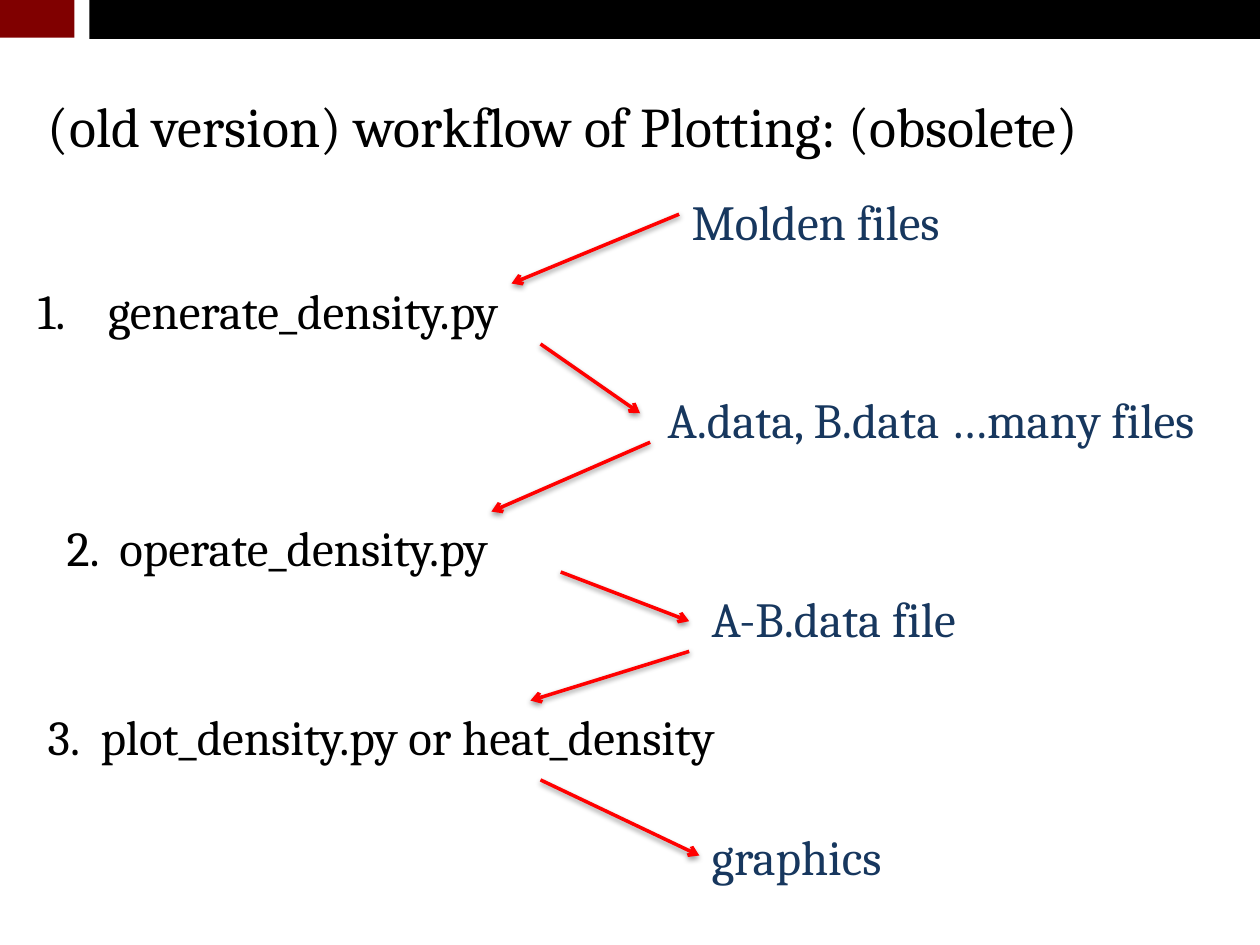
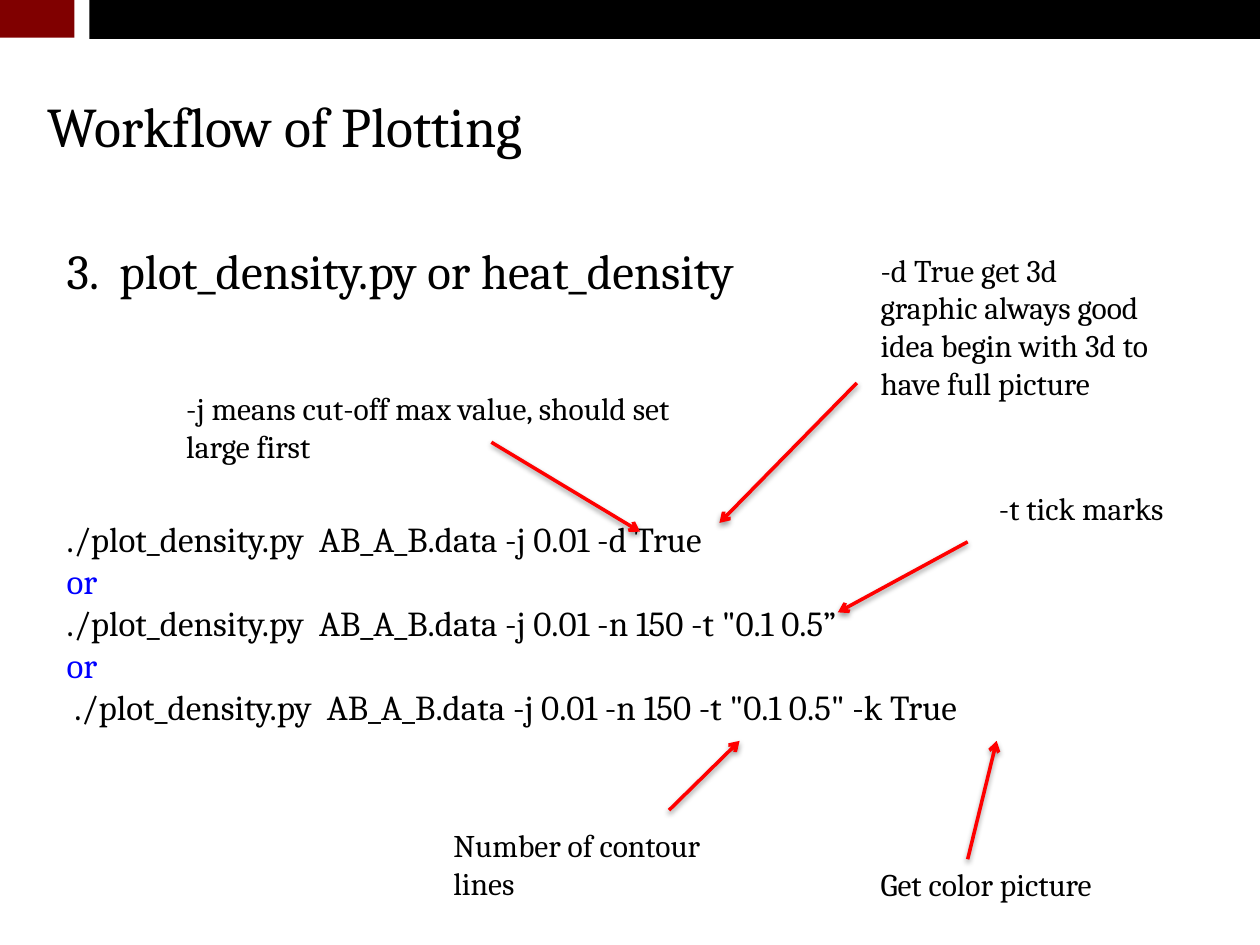
import pptx
import pptx.dml.color
import pptx.enum.shapes
import pptx.enum.text
import pptx.oxml
import pptx.oxml.ns
import pptx.util
from pptx.util import Inches

BLACK = pptx.dml.color.RGBColor(0x00, 0x00, 0x00)
MAROON = pptx.dml.color.RGBColor(0x80, 0x00, 0x00)
NAVY = pptx.dml.color.RGBColor(0x17, 0x37, 0x5E)
BLUE = pptx.dml.color.RGBColor(0x00, 0x00, 0xFF)
RED = pptx.dml.color.RGBColor(0xFF, 0x00, 0x00)

FONT = "Cambria"
TITLE_LEFT, TITLE_TOP, TITLE_HEIGHT = 0.28, 0.68, 0.64
BANDS = [(0.71, 0, 9.29, 0.31, BLACK), (0, 0, 0.59, 0.3, MAROON)]
STEP_WIDTH, STEP_HEIGHT = 7.17, 0.57
FRAME_FORMAT = {
    "word_wrap": True,
    "auto_size": pptx.enum.text.MSO_AUTO_SIZE.SHAPE_TO_FIT_TEXT,
    "vertical_anchor": pptx.enum.text.MSO_ANCHOR.TOP,
}
ARROWHEAD = f'<a:tailEnd {pptx.oxml.ns.nsdecls("a")} type="arrow"/>'
ARROW_SHADOW = (
    f'<a:effectLst {pptx.oxml.ns.nsdecls("a")}>'
    '<a:outerShdw blurRad="40000" dist="20000" dir="5400000" rotWithShape="0">'
    '<a:srgbClr val="000000"><a:alpha val="38000"/></a:srgbClr>'
    '</a:outerShdw></a:effectLst>'
)

# Each slide: title, numbered steps, text boxes and arrows
# Step: left, top, number, indent, text
# Text: left, top, width, height, size, lines with their colours
# Arrow: start x, start y, end x, end y
SLIDES = [
    {
        "title": "(old version) workflow of Plotting: (obsolete)",
        "steps": [
            (0.2, 2.18, 1, 0.56, "generate_density.py"),
            (0.43, 4.06, 2, 0.42, "operate_density.py"),
            (0.28, 5.56, 3, 0.42, "plot_density.py or heat_density"),
        ],
        "texts": [
            (5.39, 1.47, 4.6, 0.57, 28, [("Molden files", NAVY)]),
            (5.2, 3.04, 4.8, 0.57, 28, [("A.data, B.data …many files", NAVY)]),
            (5.55, 4.62, 4.4, 0.57, 28, [("A-B.data file", NAVY)]),
            (5.55, 6.51, 4.4, 0.57, 28, [("graphics", NAVY)]),
        ],
        "arrows": [
            (5.39, 1.7, 4.06, 2.25),
            (4.29, 2.73, 5.08, 3.28),
            (5.16, 3.51, 3.9, 4.06),
            (4.45, 4.54, 5.47, 4.93),
            (5.47, 5.17, 4.21, 5.56),
            (4.29, 6.19, 5.55, 6.79),
        ],
    },
    {
        "title": "Workflow of Plotting",
        "steps": [(0.43, 1.86, 3, 0.42, "plot_density.py or heat_density")],
        "texts": [
            (0.43, 4.06, 8.98, 1.78, 20, [
                ("./plot_density.py  AB_A_B.data -j 0.01 -d True", BLACK),
                ("or", BLUE),
                ('./plot_density.py  AB_A_B.data -j 0.01 -n 150 -t "0.1 0.5”', BLACK),
                ("or", BLUE),
                (' ./plot_density.py  AB_A_B.data -j 0.01 -n 150 -t "0.1 0.5" -k True', BLACK),
            ]),
            (1.38, 3.04, 4.17, 0.71, 18,
             [("-j means cut-off max value, should set large first", BLACK)]),
            (6.89, 1.94, 2.41, 1.62, 18,
             [("-d True get 3d graphic always good idea begin with 3d to have full picture", BLACK)]),
            (7.83, 3.83, 2.1, 0.4, 18, [("-t tick marks", BLACK)]),
            (6.89, 6.82, 2.41, 0.4, 18, [("Get color picture", BLACK)]),
            (3.5, 6.51, 2.41, 0.71, 18, [("Number of contour lines", BLACK)]),
        ],
        "arrows": [
            (3.9, 3.51, 5.08, 4.22),
            (6.8, 3.04, 5.71, 4.15),
            (7.68, 4.3, 6.65, 4.86),
            (5.31, 6.43, 5.87, 5.88),
            (7.68, 6.82, 7.91, 5.88),
        ],
    },
]


def write_lines(shape, size, lines):
    """Fill a text shape with one left-aligned paragraph per line."""
    frame = shape.text_frame
    for name, value in FRAME_FORMAT.items():
        setattr(frame, name, value)
    for index, (text, color) in enumerate(lines):
        paragraph = frame.add_paragraph() if index else frame.paragraphs[0]
        paragraph.alignment = pptx.enum.text.PP_ALIGN.LEFT
        run = paragraph.add_run()
        run.text = text
        run.font.color.rgb = color
        for name, value in {"name": FONT, "size": pptx.util.Pt(size)}.items():
            setattr(run.font, name, value)


presentation = pptx.Presentation()
presentation.slide_width, presentation.slide_height = Inches(10), Inches(7.5)
title_only = presentation.slide_layouts.get_by_name("Title Only")

for content in SLIDES:
    slide = presentation.slides.add_slide(title_only)

    # Top bands
    for left, top, width, height, color in BANDS:
        band = slide.shapes.add_shape(
            pptx.enum.shapes.MSO_SHAPE.RECTANGLE,
            Inches(left), Inches(top), Inches(width), Inches(height))
        band.shadow.inherit = False
        band.fill.solid()
        band.fill.fore_color.rgb = color
        band.line.fill.background()

    # Title
    title = slide.shapes.title
    title.left, title.top = Inches(TITLE_LEFT), Inches(TITLE_TOP)
    title.width, title.height = Inches(9.29), Inches(TITLE_HEIGHT)
    write_lines(title, 32, [(content["title"], BLACK)])

    # Numbered steps with a hanging indent
    for left, top, number, indent, text in content["steps"]:
        step = slide.shapes.add_textbox(
            Inches(left), Inches(top), Inches(STEP_WIDTH), Inches(STEP_HEIGHT))
        write_lines(step, 28, [(text, BLACK)])
        properties = step.text_frame.paragraphs[0]._p.get_or_add_pPr()
        properties.set("marL", str(Inches(indent)))
        properties.set("indent", str(-Inches(indent)))
        properties.append(pptx.oxml.parse_xml(
            f'<a:buFont {pptx.oxml.ns.nsdecls("a")} typeface="+mj-lt"/>'))
        properties.append(pptx.oxml.parse_xml(
            f'<a:buAutoNum {pptx.oxml.ns.nsdecls("a")} type="arabicPeriod" startAt="{number}"/>'))

    # Files, commands and remarks
    for left, top, width, height, size, lines in content["texts"]:
        box = slide.shapes.add_textbox(
            Inches(left), Inches(top), Inches(width), Inches(height))
        write_lines(box, size, lines)

    # Arrows
    for points in content["arrows"]:
        arrow = slide.shapes.add_connector(
            pptx.enum.shapes.MSO_CONNECTOR.STRAIGHT, *map(Inches, points))
        arrow.line.color.rgb = RED
        arrow.line.width = pptx.util.Pt(2)
        arrow.line._get_or_add_ln().append(pptx.oxml.parse_xml(ARROWHEAD))
        arrow._element.spPr.append(pptx.oxml.parse_xml(ARROW_SHADOW))

presentation.save("out.pptx")
